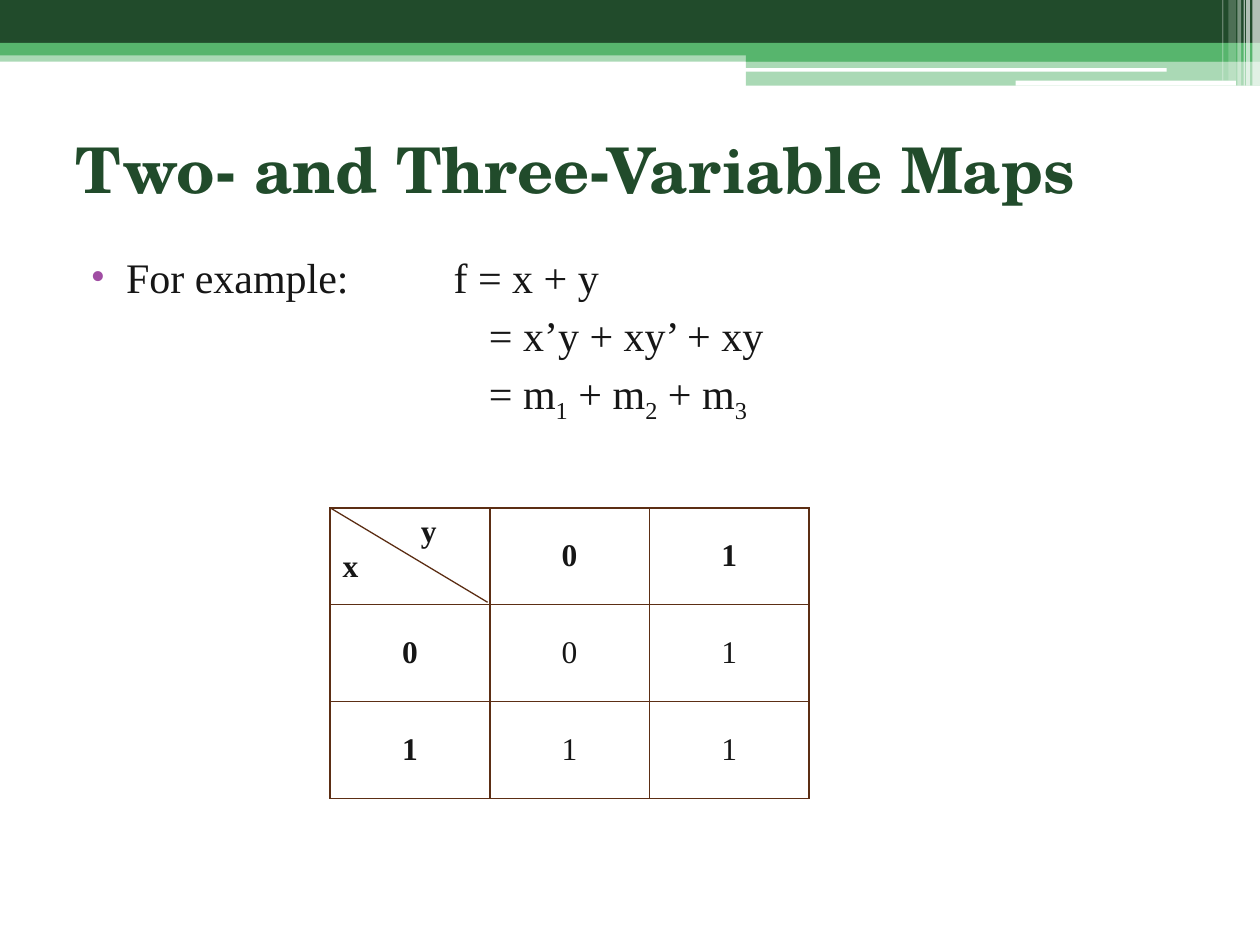
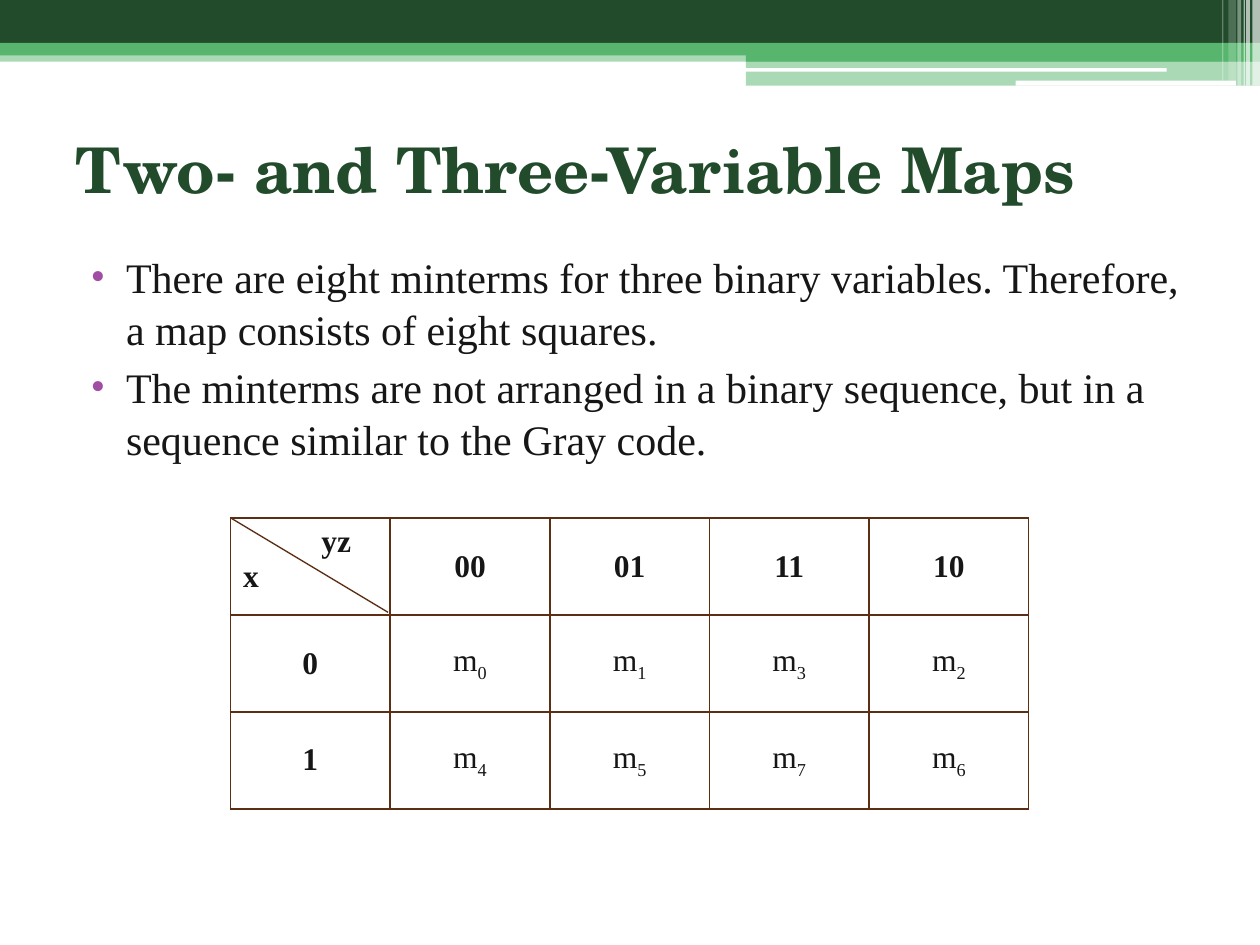
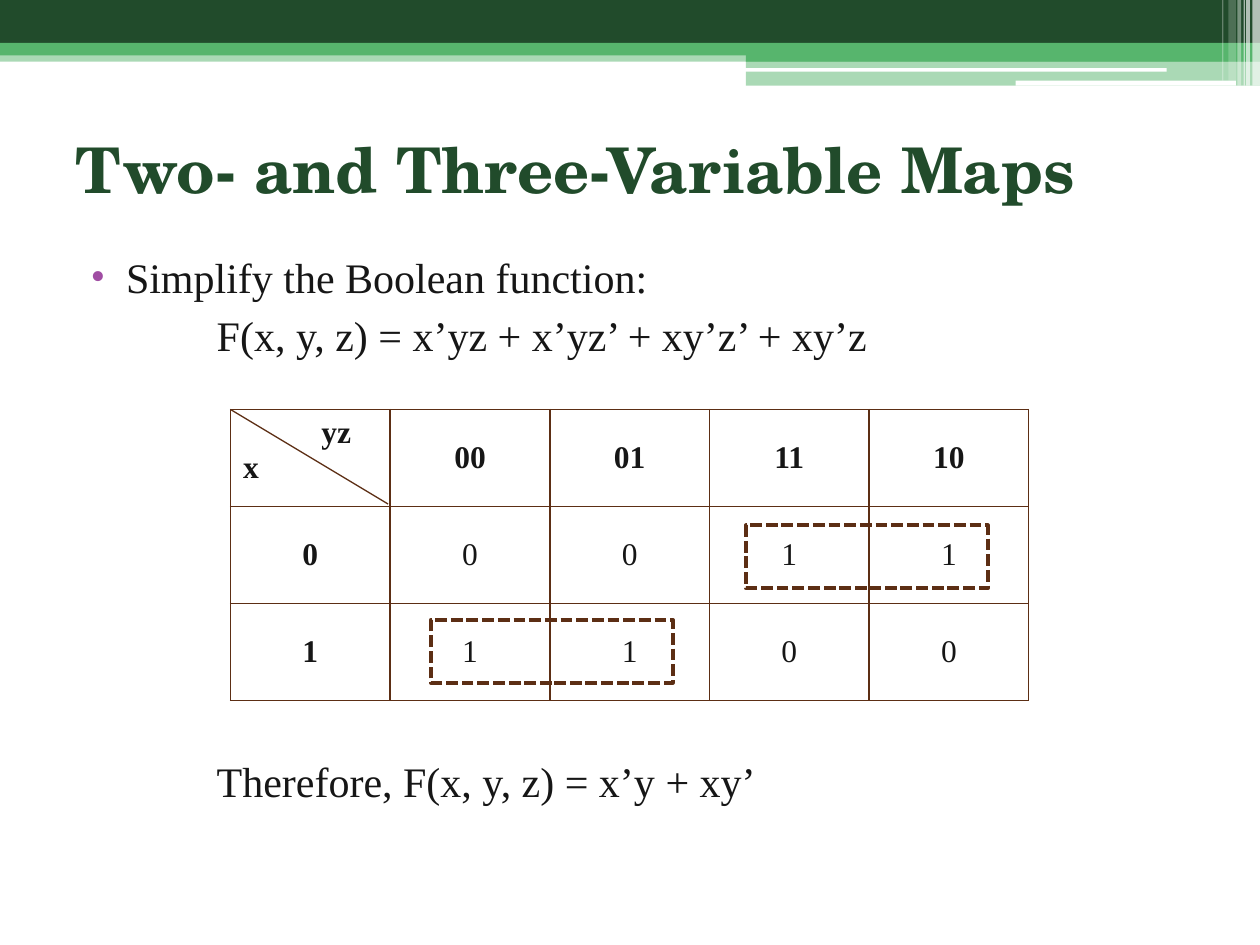
"""Build three slides on two- and three-variable Karnaugh maps."""
from dataclasses import dataclass

from lxml.etree import SubElement
from pptx import Presentation
from pptx.dml.color import RGBColor
from pptx.enum.dml import MSO_LINE
from pptx.enum.shapes import MSO_CONNECTOR, MSO_SHAPE
from pptx.enum.text import MSO_ANCHOR, MSO_AUTO_SIZE, PP_ALIGN
from pptx.oxml.ns import qn
from pptx.util import Inches, Pt


@dataclass(frozen=True)
class Theme:
    """Colours, fonts and type sizes shared by all slides."""
    dark: str = "214B2B"
    green: str = "57B56D"
    white: str = "FFFFFF"
    ink: str = "161616"
    bullet: str = "A04DA3"
    rule: str = "5C2E14"
    title_font: str = "TeX Gyre Schola"
    body_font: str = "Times New Roman"
    title_size: int = 36
    body_size: int = 24
    cell_size: int = 18


THEME = Theme()
TITLE = "Two- and Three-Variable Maps"
COLUMNS, ROWS = 100, 75
CELL_WIDTH, CELL_HEIGHT = 12.67, 7.7
YZ_HEADER = ["00", "01", "11", "10"]

BANDS = [
    (0, 4, 100, 0.9, THEME.green, 50),
    (0, 0, 100, 3.4, THEME.dark, 100),
    (0, 3.4, 100, 1, THEME.green, 100),
    (59.2, 3.9, 40.8, 1, THEME.green, 100),
    (59.2, 4.8, 40.8, 2, THEME.green, 50),
    (59.1, 5.4, 33.5, 0.3, THEME.white, 100),
    (80.6, 6.4, 17.5, 0.4, THEME.white, 100),
    (99.4, 0, 0.6, 6.8, THEME.white, 65),
    (98.9, 0, 0.3, 6.8, THEME.white, 65),
    (98.7, 0, 0.1, 6.8, THEME.white, 60),
    (98.2, 0, 0.3, 6.8, THEME.white, 40),
    (97.5, 0, 0.6, 6.4, THEME.white, 20),
    (97, 0, 0.1, 6.4, THEME.white, 30),
]

PAGES = [
    {
        "lines": [("For example: \tf = x + y", True, 4, 3),
                  ("= x’y + xy’ + xy", False, 32.8, 3),
                  ("= m_1 + m_2 + m_3", False, 32.8, 3)],
        "corner": "y", "left": 26.2, "top": 40.3,
        "rows": [["0", "1"], ["0", "1"], ["1", "1"]],
        "rings": [],
    },
    {
        "lines": [("There are eight minterms for three binary variables. "
                   "Therefore, a map consists of eight squares.", True, 4, 3),
                  ("The minterms are not arranged in a binary sequence, "
                   "but in a sequence similar to the Gray code.", True, 4, 3)],
        "corner": "yz", "left": 18.3, "top": 41.1,
        "rows": [YZ_HEADER, ["m_0", "m_1", "m_3", "m_2"],
                 ["m_4", "m_5", "m_7", "m_6"]],
        "rings": [],
    },
    {
        "lines": [("Simplify the Boolean function:", True, 4, 3),
                  ("F(x, y, z) = x’yz + x’yz’ + xy’z’ + xy’z", False, 11.2, 3),
                  ("Therefore, F(x, y, z) = x’y + xy’", False, 11.2, 225)],
        "corner": "yz", "left": 18.3, "top": 32.5,
        "rows": [YZ_HEADER, ["0", "0", "1", "1"], ["1", "1", "0", "0"]],
        "rings": [(59.2, 41.7), (34.2, 49.2)],
    },
]

deck = Presentation()
deck.slide_width, deck.slide_height = Inches(10), Inches(7.5)


def grid(*steps):
    """Turn alternating column and row counts into slide lengths."""
    units = deck.slide_width / COLUMNS, deck.slide_height / ROWS
    return [round(step * units[index % 2]) for index, step in enumerate(steps)]


def write(frame, text, size=THEME.cell_size, color=THEME.ink,
          font=THEME.body_font, bold=False, align=PP_ALIGN.LEFT,
          indent=0, before=0, spacing=1.0, bullet=False):
    """Add one paragraph, with an underscore before each subscript."""
    para = frame.paragraphs[-1]
    if para.runs:
        para = frame.add_paragraph()
    para.alignment = align
    para.line_spacing = spacing
    para.space_before = Pt(before)
    props = para._p.get_or_add_pPr()
    props.set("marL", str(grid(indent)[0]))
    props.set("indent", str(grid(-2.8 if bullet else 0)[0]))
    props.set("defTabSz", str(Inches(1)))
    if bullet:
        tint = SubElement(props, qn("a:buClr"))
        SubElement(tint, qn("a:srgbClr"), val=THEME.bullet)
        SubElement(props, qn("a:buFont"), typeface=font)
        SubElement(props, qn("a:buChar"), char="•")
    else:
        SubElement(props, qn("a:buNone"))
    start, *rest = text.split("_")
    pieces = [(start, False)]
    for piece in rest:
        pieces += [(piece[0], True), (piece[1:], False)]
    for piece, lowered in pieces:
        if piece:
            span = para.add_run()
            span.text = piece
            span.font.size, span.font.name, span.font.bold = Pt(size), font, bold
            span.font.color.rgb = RGBColor.from_string(color)
            if lowered:
                span._r.get_or_add_rPr().set("baseline", "-25000")


layout = deck.slide_layouts[1]
for holder in list(layout.placeholders):
    if holder.placeholder_format.idx > 1:
        holder.element.getparent().remove(holder.element)
for holder, area in zip(layout.placeholders,
                        [(5, 7.5, 90, 11.7), (5, 19.3, 90, 51.5)]):
    holder.left, holder.top, holder.width, holder.height = grid(*area)

pages = [deck.slides.add_slide(layout) for _ in PAGES]

for order, (left, top, width, height, color, opacity) in enumerate(BANDS):
    band = pages[0].shapes.add_shape(MSO_SHAPE.RECTANGLE,
                                     *grid(left, top, width, height))
    band.shadow.inherit = False
    band.line.fill.background()
    band.fill.solid()
    band.fill.fore_color.rgb = RGBColor.from_string(color)
    if opacity < 100:
        tint = band.element.spPr.find(".//" + qn("a:srgbClr"))
        SubElement(tint, qn("a:alpha"), val=str(opacity * 1000))
    layout.shapes.element.insert(2 + order, band.element)

rule_color = RGBColor.from_string(THEME.rule)
for page, content in zip(pages, PAGES):
    heading = page.shapes.title.text_frame
    heading.auto_size = MSO_AUTO_SIZE.NONE
    heading.vertical_anchor = MSO_ANCHOR.MIDDLE
    write(heading, TITLE, size=THEME.title_size, color=THEME.dark,
          font=THEME.title_font, bold=True)

    body = page.placeholders[1].text_frame
    body.auto_size = MSO_AUTO_SIZE.NONE
    for text, bullet, indent, before in content["lines"]:
        write(body, text, size=THEME.body_size, bullet=bullet,
              indent=indent, before=before, spacing=1.04)

    left, top, rows = content["left"], content["top"], content["rows"]
    labelled = [[label, *row] for label, row in zip(["", "0", "1"], rows)]
    across, down = len(labelled[0]), len(labelled)
    table = page.shapes.add_table(
        down, across,
        *grid(left, top, across * CELL_WIDTH, down * CELL_HEIGHT)).table
    table.first_row = table.horz_banding = False
    for row_index, row in enumerate(labelled):
        for column_index, text in enumerate(row):
            cell = table.cell(row_index, column_index)
            props = cell._tc.get_or_add_tcPr()
            for side in ("lnL", "lnR", "lnT", "lnB"):
                border = SubElement(props, qn(f"a:{side}"), w=str(Pt(1)))
                paint = SubElement(border, qn("a:solidFill"))
                SubElement(paint, qn("a:srgbClr"), val=THEME.rule)
            cell.fill.background()
            if text:
                cell.vertical_anchor = MSO_ANCHOR.MIDDLE
                write(cell.text_frame, text, align=PP_ALIGN.CENTER,
                      bold=row_index == 0 or column_index == 0)
            else:
                write(cell.text_frame, content["corner"], bold=True, indent=6.2)
                write(cell.text_frame, "x", bold=True)

    diagonal = page.shapes.add_connector(
        MSO_CONNECTOR.STRAIGHT, *grid(left, top, left + 12.5, top + 7.5))
    diagonal.line.color.rgb = rule_color
    diagonal.line.width = Pt(0.75)
    SubElement(diagonal.element.spPr, qn("a:effectLst"))

    for ring_left, ring_top in content["rings"]:
        ring = page.shapes.add_shape(MSO_SHAPE.RECTANGLE,
                                     *grid(ring_left, ring_top, 19.2, 5))
        ring.shadow.inherit = False
        ring.fill.background()
        ring.line.color.rgb = rule_color
        ring.line.width = Pt(2.25)
        ring.line.dash_style = MSO_LINE.SQUARE_DOT

deck.save("out.pptx")
